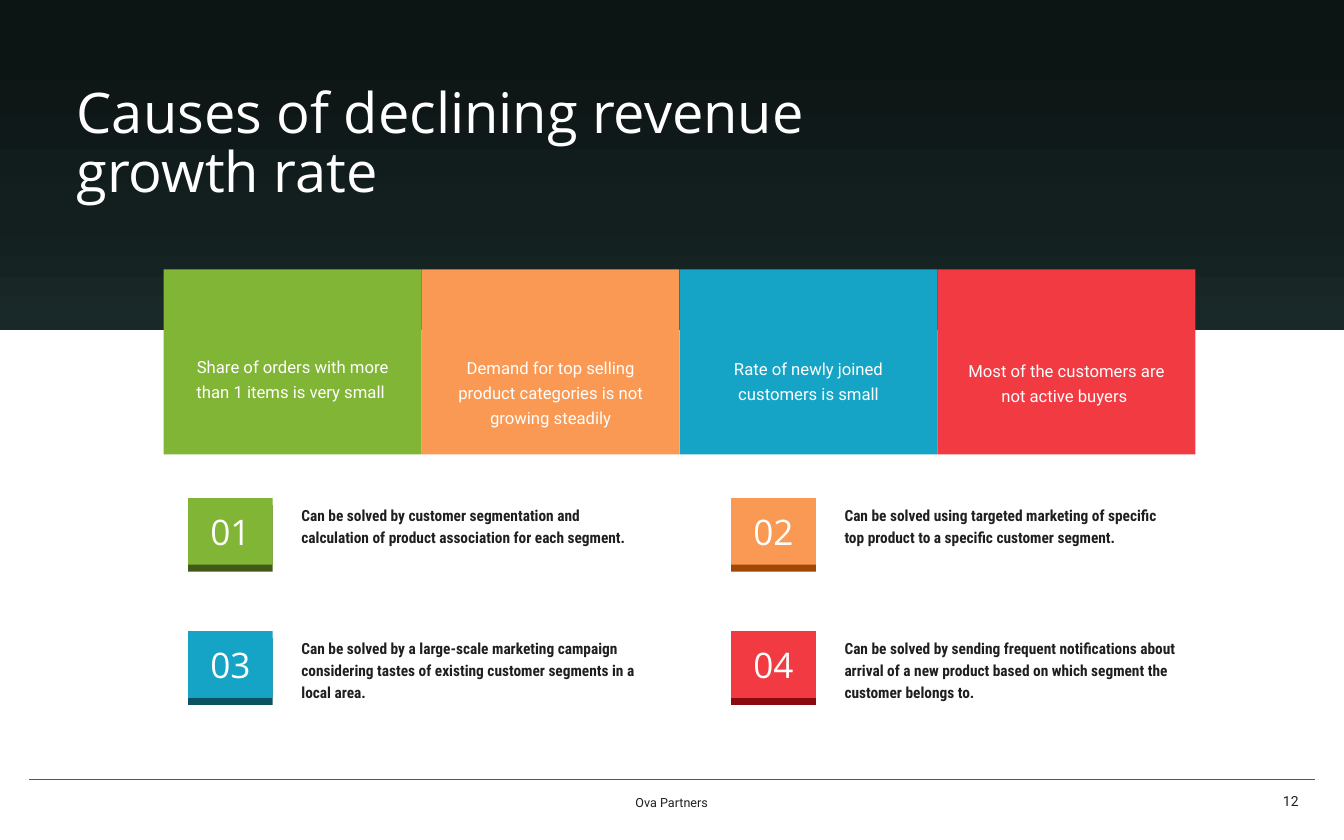
import copy

import lxml.etree
import pptx
import pptx.dml.color
import pptx.enum.shapes
import pptx.enum.text
import pptx.oxml.ns
import pptx.util

RGBColor = pptx.dml.color.RGBColor
ALIGN = pptx.enum.text.PP_ALIGN
ANCHOR = pptx.enum.text.MSO_ANCHOR
qualified = pptx.oxml.ns.qn

WHITE = RGBColor(0xFF, 0xFF, 0xFF)
INK = RGBColor(0x1F, 0x1F, 0x1F)
RULE_GREY = RGBColor(0x57, 0x57, 0x57)
GREEN = RGBColor(0x81, 0xB5, 0x35)
ORANGE = RGBColor(0xF9, 0x99, 0x53)
BLUE = RGBColor(0x15, 0xA4, 0xC6)
RED = RGBColor(0xF2, 0x3A, 0x43)
DARK_GREEN = RGBColor(0x41, 0x5A, 0x1B)
DARK_ORANGE = RGBColor(0xA0, 0x47, 0x06)
DARK_BLUE = RGBColor(0x0B, 0x52, 0x63)
DARK_RED = RGBColor(0x8D, 0x09, 0x10)
BAND_STOPS = [
    (0.14, RGBColor(0x0C, 0x14, 0x14)),
    (0.66, RGBColor(0x13, 0x1E, 0x1E)),
    (0.96, RGBColor(0x19, 0x28, 0x28)),
]

SLIDE_WIDTH = pptx.util.Inches(26.85)
SLIDE_HEIGHT = pptx.util.Inches(16.78)
COLUMN = SLIDE_WIDTH / 100
ROW = SLIDE_HEIGHT / 100

CARD_LEFT, CARD_TOP, CARD_STEP = 12.18, 32.06, 19.19
BADGE_LEFT, BADGE_TOP = 14, 59.3
BADGE_STEP_X, BADGE_STEP_Y = 40.41, 15.85
SOLUTION_SHIFT_X, SOLUTION_SHIFT_Y = 7.42, -0.3

TITLE_FORMAT = {"size": pptx.util.Pt(80.5), "name": "Open Sans", "bold": False}
BADGE_FORMAT = {"size": pptx.util.Pt(50.6), "name": "Open Sans"}
CARD_FORMAT = {"size": pptx.util.Pt(24), "name": "Roboto"}
SOLUTION_FORMAT = {"size": pptx.util.Pt(22.1), "name": "Roboto Condensed", "bold": True}
FOOTER_FORMAT = {"size": pptx.util.Pt(18.1), "name": "Roboto"}
NUMBER_FORMAT = {"size": pptx.util.Pt(20), "name": "Roboto"}

CARDS = [
    ("Share of orders with more than 1 items is very small ", GREEN, 1.65),
    ("Demand for top selling product categories is not growing steadily", ORANGE, 1.67),
    ("Rate of newly joined customers is small", BLUE, 1.69),
    ("Most of the customers are not active buyers ", RED, 1.73),
]
SOLUTIONS = [
    ("Can be solved by customer segmentation and calculation of product "
     "association for each segment.", GREEN, DARK_GREEN, 26.89),
    ("Can be solved using targeted marketing of specific top product to a "
     "specific customer segment.", ORANGE, DARK_ORANGE, 26.89),
    ("Can be solved by a large-scale marketing campaign considering tastes of "
     "existing customer segments in a local area.", BLUE, DARK_BLUE, 26.89),
    ("Can be solved by sending frequent notifications about arrival of a new product "
     "based on which segment the customer belongs to.", RED, DARK_RED, 29.79),
]


def grid(left, top, width, height):
    return [round(left * COLUMN), round(top * ROW), round(width * COLUMN), round(height * ROW)]


def apply(target, values):
    for name, value in values.items():
        setattr(target, name, value)


def write(shape, text, font_format, color, align=ALIGN.LEFT, spacing=1.0,
          anchor=ANCHOR.MIDDLE, insets=(0.1, 0.05, 0.1, 0.05)):
    frame = shape.text_frame
    sides = ("margin_left", "margin_top", "margin_right", "margin_bottom")
    apply(frame, {"text": text, "word_wrap": True, "vertical_anchor": anchor,
                  "auto_size": pptx.enum.text.MSO_AUTO_SIZE.NONE})
    apply(frame, dict(zip(sides, map(pptx.util.Inches, insets))))
    paragraph = frame.paragraphs[0]
    apply(paragraph, {"alignment": align, "line_spacing": spacing,
                      "space_before": pptx.util.Pt(0)})
    font = paragraph.runs[0].font
    apply(font, font_format)
    font.color.rgb = color
    return paragraph


def add_box(slide, place, color=None):
    shape = slide.shapes.add_shape(pptx.enum.shapes.MSO_SHAPE.RECTANGLE, *place)
    shape.shadow.inherit = False
    shape.line.fill.background()
    if color is not None:
        shape.fill.solid()
        shape.fill.fore_color.rgb = color
    return shape


def add_band(slide):
    band = add_box(slide, grid(0, 0, 100, 39.27))
    band.fill.gradient()
    band.fill.gradient_angle = 270
    stop_list = next(band._element.iter(qualified("a:gsLst")))
    stop_list.append(copy.deepcopy(stop_list[0]))
    for stop, (position, color) in zip(band.fill.gradient_stops, BAND_STOPS):
        stop.position = position
        stop.color.rgb = color
    band._element.getparent().insert(2, band._element)


def add_rule(slide):
    left, top, width, _ = grid(2.16, 92.79, 95.68, 0)
    rule = slide.shapes.add_connector(
        pptx.enum.shapes.MSO_CONNECTOR.STRAIGHT, left, top, left + width, top)
    rule.line.color.rgb = RULE_GREY
    rule.line.width = pptx.util.Pt(0.5)
    lxml.etree.SubElement(rule._element.spPr, qualified("a:effectLst"))


def add_card(slide, index, text, color, top_inset):
    card = add_box(slide, grid(CARD_LEFT + index * CARD_STEP, CARD_TOP, CARD_STEP, 22.05), color)
    write(card, text, CARD_FORMAT, WHITE, ALIGN.CENTER, 1.25, ANCHOR.TOP,
          (0.52, top_inset, 0.52, 0.4))


def add_badge(slide, left, top, number, color, edge_color):
    badge = add_box(slide, grid(left, top, 6.29, 7.93), color)
    effects = badge._element.spPr.find(qualified("a:effectLst"))
    shadow = lxml.etree.SubElement(
        effects, qualified("a:outerShdw"), blurRad="0", dist=str(pptx.util.Pt(10)),
        dir="5400000", algn="bl", rotWithShape="0")
    lxml.etree.SubElement(shadow, qualified("a:srgbClr"), val=str(edge_color))
    write(badge, f"{number:02d}", BADGE_FORMAT, WHITE, ALIGN.CENTER,
          insets=(0.08, 0.04, 0.08, 0.04))


def move(shape, place):
    apply(shape, dict(zip(("left", "top", "width", "height"), place)))


def fill_solution(body, left, top, width, text):
    move(body, grid(left, top, width, 9.36))
    paragraph = write(body, text, SOLUTION_FORMAT, INK, spacing=1.2, anchor=ANCHOR.TOP,
                      insets=(0.27, 0.13, 0.27, 0.13))
    properties = paragraph._p.get_or_add_pPr()
    properties.set("marL", "0")
    properties.set("indent", "0")
    lxml.etree.SubElement(properties, qualified("a:buNone"))


def add_footer(slide, left, width, text, font_format, align, spacing):
    footer = slide.shapes.add_textbox(*grid(left, 92.67, width, 5.3))
    write(footer, text, font_format, INK, align, spacing)


def main():
    presentation = pptx.Presentation()
    apply(presentation, {"slide_width": SLIDE_WIDTH, "slide_height": SLIDE_HEIGHT})
    slide = presentation.slides.add_slide(presentation.slide_layouts.get_by_name("Comparison"))
    title, *bodies = slide.placeholders
    add_band(slide)
    add_rule(slide)
    move(title, grid(5.33, 10.43, 55.38, 13.65))
    write(title, "Causes of declining revenue growth rate", TITLE_FORMAT, WHITE, spacing=0.88)
    for index, card in enumerate(CARDS):
        add_card(slide, index, *card)
    for index, (text, color, edge_color, width) in enumerate(SOLUTIONS):
        row, column = divmod(index, 2)
        left = BADGE_LEFT + column * BADGE_STEP_X
        top = BADGE_TOP + row * BADGE_STEP_Y
        add_badge(slide, left, top, index + 1, color, edge_color)
        fill_solution(bodies[index], left + SOLUTION_SHIFT_X, top + SOLUTION_SHIFT_Y, width, text)
    add_footer(slide, 33.11, 33.74, "Ova Partners", FOOTER_FORMAT, ALIGN.CENTER, 1.25)
    add_footer(slide, 74.49, 22.5, "12", NUMBER_FORMAT, ALIGN.RIGHT, 1.0)
    presentation.save("out.pptx")


if __name__ == "__main__":
    main()
